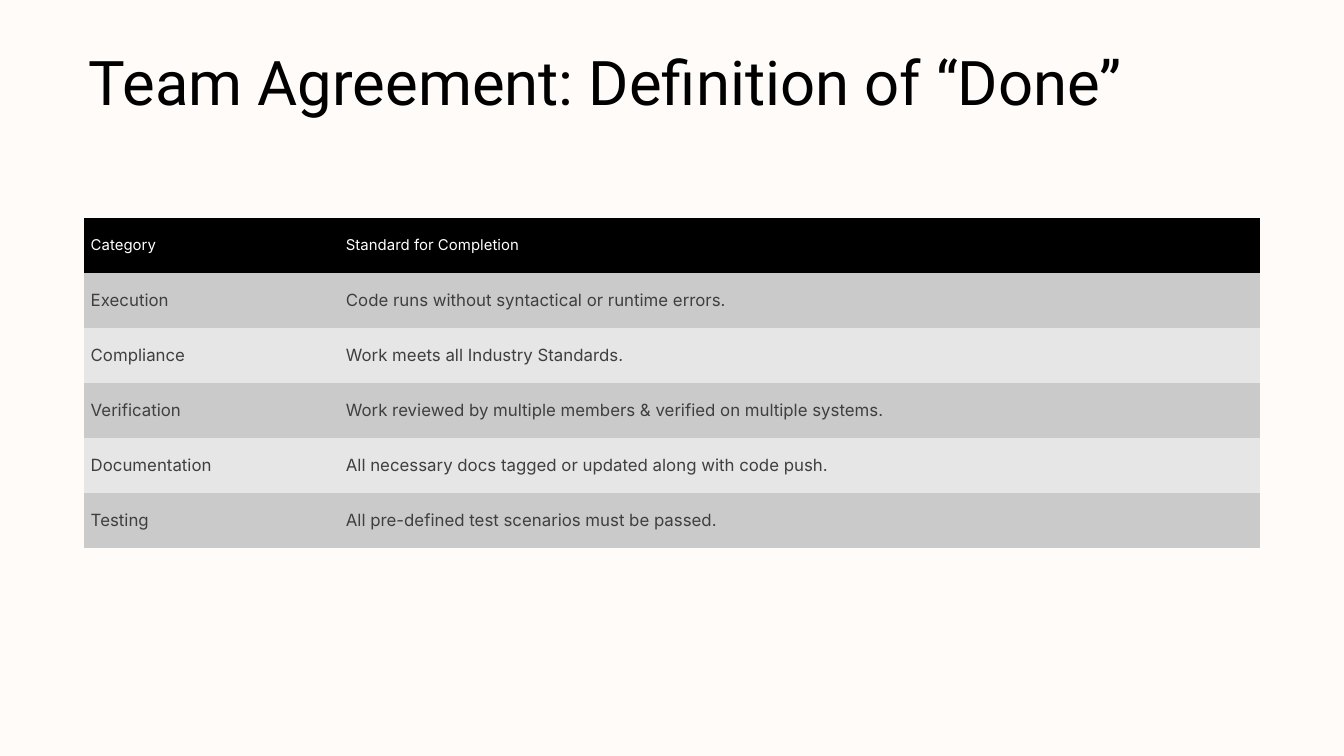
from pptx import Presentation
from pptx.dml.color import RGBColor
from pptx.enum.text import MSO_ANCHOR, PP_ALIGN
from pptx.oxml.ns import qn
from pptx.util import Inches, Pt

TOP, MIDDLE = MSO_ANCHOR.TOP, MSO_ANCHOR.MIDDLE
LEFT = PP_ALIGN.LEFT

CREAM = RGBColor(0xFF, 0xFB, 0xF8)
BLACK = RGBColor(0, 0, 0)
WHITE = RGBColor(0xFF, 0xFF, 0xFF)
INK = RGBColor(0x3F, 0x3F, 0x3F)
BANDS = RGBColor(0xCA, 0xCA, 0xCA), RGBColor(0xE6, 0xE6, 0xE6)

WIDE = 10
HIGH = WIDE * 9 / 16
MARGIN = WIDE / 16
PLAIN_STYLE = "{2D5ABB26-0587-4C30-8999-92F81FD0307C}"  # no style, no grid

TITLE = "Team Agreement: Definition of “Done”"
ROWS = [
    ("Category", "Standard for Completion"),
    ("Execution", "Code runs without syntactical or runtime errors."),
    ("Compliance", "Work meets all Industry Standards."),
    ("Verification",
     "Work reviewed by multiple members & verified on multiple systems."),
    ("Documentation",
     "All necessary docs tagged or updated along with code push."),
    ("Testing", "All pre-defined test scenarios must be passed."),
]
SHARES = 0.217, 0.783


def write(frame, text, *, size, font, color):
    frame.word_wrap = True
    para = frame.paragraphs[0]
    para.alignment = LEFT
    run = para.add_run()
    run.text = text
    run.font.size = Pt(size)
    run.font.name = font
    run.font.color.rgb = color


def add_title(slide, box):
    title = slide.shapes.title
    title.left, title.top, title.width, title.height = map(Inches, box)
    frame = title.text_frame
    frame.vertical_anchor = TOP
    frame.margin_left = frame.margin_right = Inches(0.1)
    frame.margin_top = frame.margin_bottom = Inches(0.1)
    write(frame, TITLE, size=33, font="Roboto", color=BLACK)


def fill_cell(cell, text, row):
    cell.vertical_anchor = MIDDLE
    cell.margin_left = cell.margin_right = Inches(0.05)
    cell.margin_top = cell.margin_bottom = Inches(0.02)
    head = row == 0
    cell.fill.solid()
    cell.fill.fore_color.rgb = BLACK if head else BANDS[(row - 1) % 2]
    write(cell.text_frame, text, size=8 if head else 9, font="Inter",
          color=WHITE if head else INK)


def add_standards(slide, box):
    """Place the table of standards, its rows equal and columns by share."""
    shape = slide.shapes.add_table(len(ROWS), len(SHARES), *map(Inches, box))
    table = shape.table
    table._tbl.tblPr.find(qn("a:tableStyleId")).text = PLAIN_STYLE
    for column, share in zip(table.columns, SHARES):
        column.width = Inches(box[2] * share)
    for r, texts in enumerate(ROWS):
        table.rows[r].height = Inches(box[3] / len(ROWS))
        for c, text in enumerate(texts):
            fill_cell(table.cell(r, c), text, r)


def main():
    deck = Presentation()
    deck.slide_width, deck.slide_height = Inches(WIDE), Inches(HIGH)
    slide = deck.slides.add_slide(deck.slide_layouts[5])
    slide.background.fill.solid()
    slide.background.fill.fore_color.rgb = CREAM
    add_title(slide, (0.56, 0.23, 8.87, 0.71))
    add_standards(slide, (MARGIN, 1.62, WIDE - 2 * MARGIN, 2.46))
    deck.save("out.pptx")


if __name__ == "__main__":
    main()
